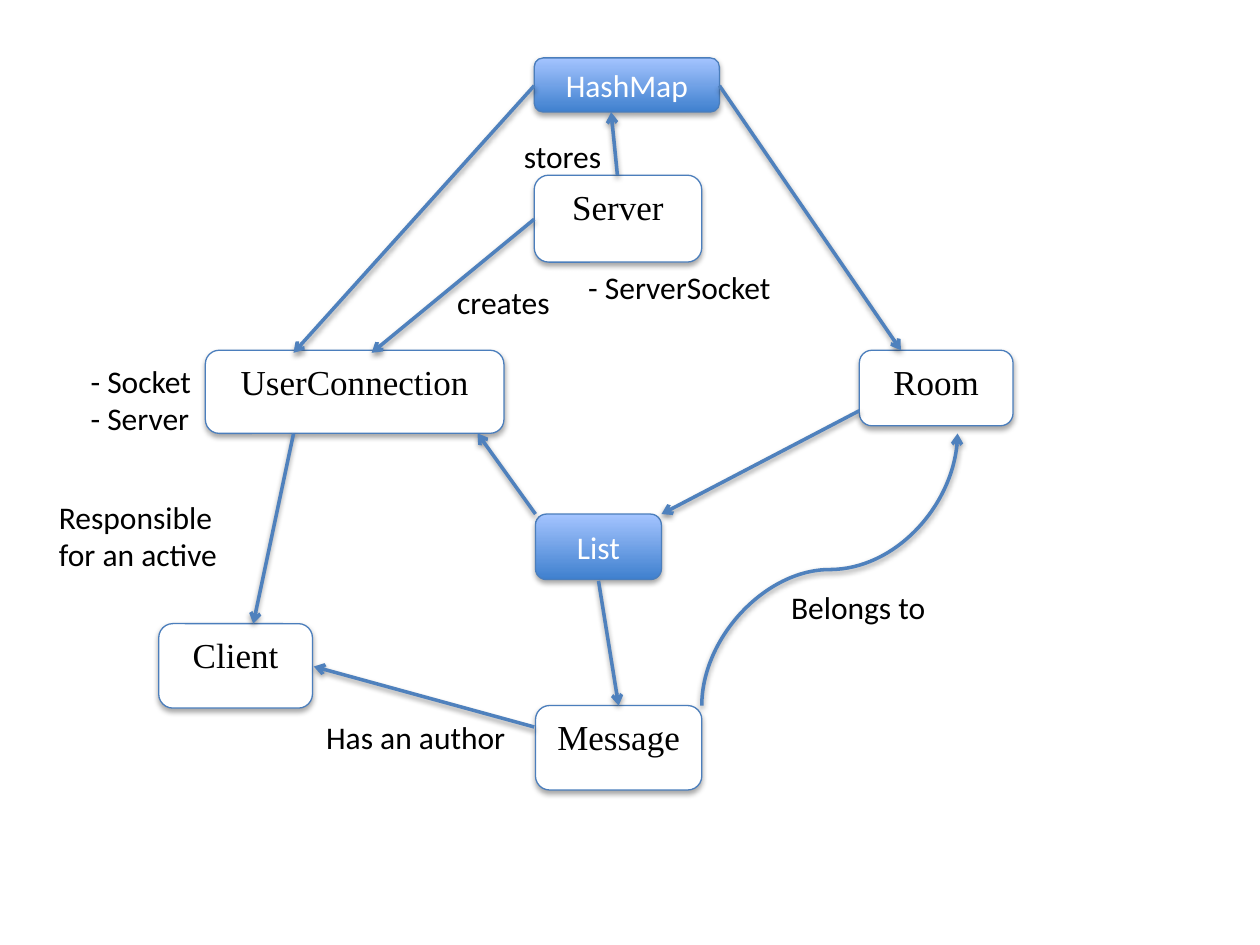
"""Build a class relationship diagram for a chat server."""
from dataclasses import dataclass

from lxml.etree import SubElement
from pptx import Presentation
from pptx.dml.color import RGBColor as RGB
from pptx.enum.shapes import MSO_CONNECTOR as CONN, MSO_SHAPE as SHAPE
from pptx.enum.text import MSO_ANCHOR as ANCHOR, MSO_AUTO_SIZE as FIT, PP_ALIGN as ALIGN
from pptx.oxml.ns import qn
from pptx.util import Inches, Pt


@dataclass(frozen=True)
class Theme:
    black: RGB = RGB(0, 0, 0)
    white: RGB = RGB(255, 255, 255)
    outline: RGB = RGB.from_string("4B7EBC")
    arrow: RGB = RGB.from_string("4F81BD")
    gradient: tuple = (RGB.from_string("3F80CE"), RGB.from_string("A4C4FF"))
    class_font: str = "Times New Roman"
    body_font: str = "Calibri"
    class_size: int = 20
    body_size: int = 18


T = Theme()

CLASSES = [
    ("Server", 4.24, 1.39, 1.33, 0.69),
    ("UserConnection", 1.63, 2.78, 2.37, 0.66),
    ("Client", 1.26, 4.95, 1.22, 0.67),
    ("Room", 6.82, 2.78, 1.22, 0.6),
    ("Message", 4.25, 5.6, 1.32, 0.67),
]
COLLECTIONS = [
    ("HashMap", 4.24, 0.46, 1.47, 0.43),
    ("List", 4.25, 4.08, 1, 0.52),
]
ARROWS = [
    (4.24, 1.74, 2.95, 2.8),
    (4.9, 1.39, 4.85, 0.89),
    (4.24, 0.68, 2.33, 2.8),
    (5.71, 0.68, 7.15, 2.78),
    (4.24, 5.77, 2.49, 5.29),
    (6.82, 3.26, 5.25, 4.08),
    (4.25, 4.08, 3.79, 3.44),
    (4.75, 4.61, 4.91, 5.6),
    (2.33, 3.44, 2.01, 4.95),
]
BELONGS_TO = (5.57, 5.6, 7.6, 3.44)
LABELS = [
    (["creates"], 3.53, 2.2, 0.95, 0.4, False),
    (["stores"], 4.06, 1.04, 0.83, 0.4, False),
    (["Belongs to"], 6.18, 4.62, 1.28, 0.4, False),
    (["Has an author"], 2.49, 5.65, 1.64, 0.4, False),
    (["Responsible for an active"], 0.37, 3.9, 1.63, 0.72, True),
    (["- Socket", "- Server"], 0.62, 2.82, 1.02, 0.71, False),
    (["- ServerSocket"], 4.57, 2.08, 1.67, 0.4, False),
]


def add_shadow(shape, distance, opacity):
    effects = shape._element.spPr.find(qn("a:effectLst"))
    if effects is None:
        effects = SubElement(shape._element.spPr, qn("a:effectLst"))
    shadow = SubElement(effects, qn("a:outerShdw"), blurRad=str(Pt(3.15)),
                        dist=str(Pt(distance)), dir="5400000", rotWithShape="0")
    color = SubElement(shadow, qn("a:srgbClr"), val="000000")
    SubElement(color, qn("a:alpha"), val=str(opacity * 1000))


def set_font(p, name, size, color):
    p.font.name, p.font.size, p.font.color.rgb = name, Pt(size), color


def add_box(s, text, *box, collection=False):
    sp = s.shapes.add_shape(SHAPE.ROUNDED_RECTANGLE, *map(Inches, box))
    if collection:
        sp.fill.gradient()
        sp.fill.gradient_angle = 90
        for stop, color in zip(sp.fill.gradient_stops, T.gradient):
            stop.color.rgb = color
    else:
        sp.fill.solid()
        sp.fill.fore_color.rgb = T.white
    sp.line.color.rgb, sp.line.width = T.outline, Pt(0.75)
    sp.shadow.inherit = False
    add_shadow(sp, 1.8, 35)
    tf = sp.text_frame
    tf.text = text
    tf.vertical_anchor = ANCHOR.MIDDLE if collection else ANCHOR.TOP
    p = tf.paragraphs[0]
    p.alignment = ALIGN.CENTER
    if collection:
        set_font(p, T.body_font, T.body_size, T.white)
    else:
        set_font(p, T.class_font, T.class_size, T.black)


def add_arrow(s, *ends, kind=CONN.STRAIGHT):
    line = s.shapes.add_connector(kind, *map(Inches, ends))
    line.line.color.rgb, line.line.width = T.arrow, Pt(2)
    SubElement(line.line._get_or_add_ln(), qn("a:tailEnd"), type="arrow")
    add_shadow(line, 1.6, 38)
    return line


def add_rising_curve(s, x1, y1, x2, y2):
    cx, cy = (x1 + x2) / 2, (y1 + y2) / 2
    half_w, half_h = (y1 - y2) / 2, (x2 - x1) / 2
    curve = add_arrow(s, cx - half_w, cy - half_h, cx + half_w, cy + half_h, kind=CONN.CURVE)
    curve._element.spPr.find(qn("a:xfrm")).set("rot", str(270 * 60000))


def add_label(s, lines, *box, wrap):
    tf = s.shapes.add_textbox(*map(Inches, box)).text_frame
    tf.text = "\n".join(lines)
    tf.word_wrap, tf.auto_size = wrap, FIT.SHAPE_TO_FIT_TEXT
    for p in tf.paragraphs:
        set_font(p, T.body_font, T.body_size, T.black)


prs = Presentation()
prs.slide_width, prs.slide_height = Inches(10), Inches(7.5)
s = prs.slides.add_slide(prs.slide_layouts[6])
for item in CLASSES:
    add_box(s, *item)
for item in COLLECTIONS:
    add_box(s, *item, collection=True)
for ends in ARROWS:
    add_arrow(s, *ends)
add_rising_curve(s, *BELONGS_TO)
for lines, *box, wrap in LABELS:
    add_label(s, lines, *box, wrap=wrap)
prs.save("out.pptx")
